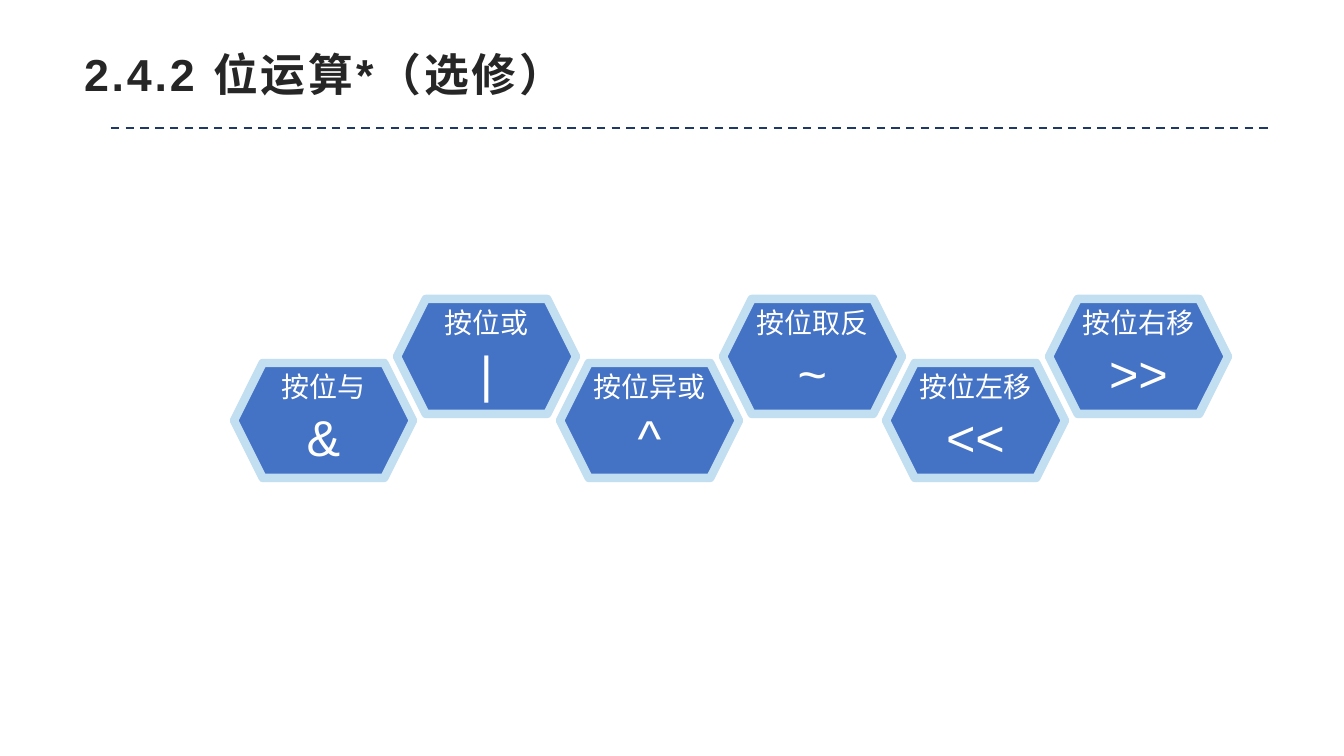
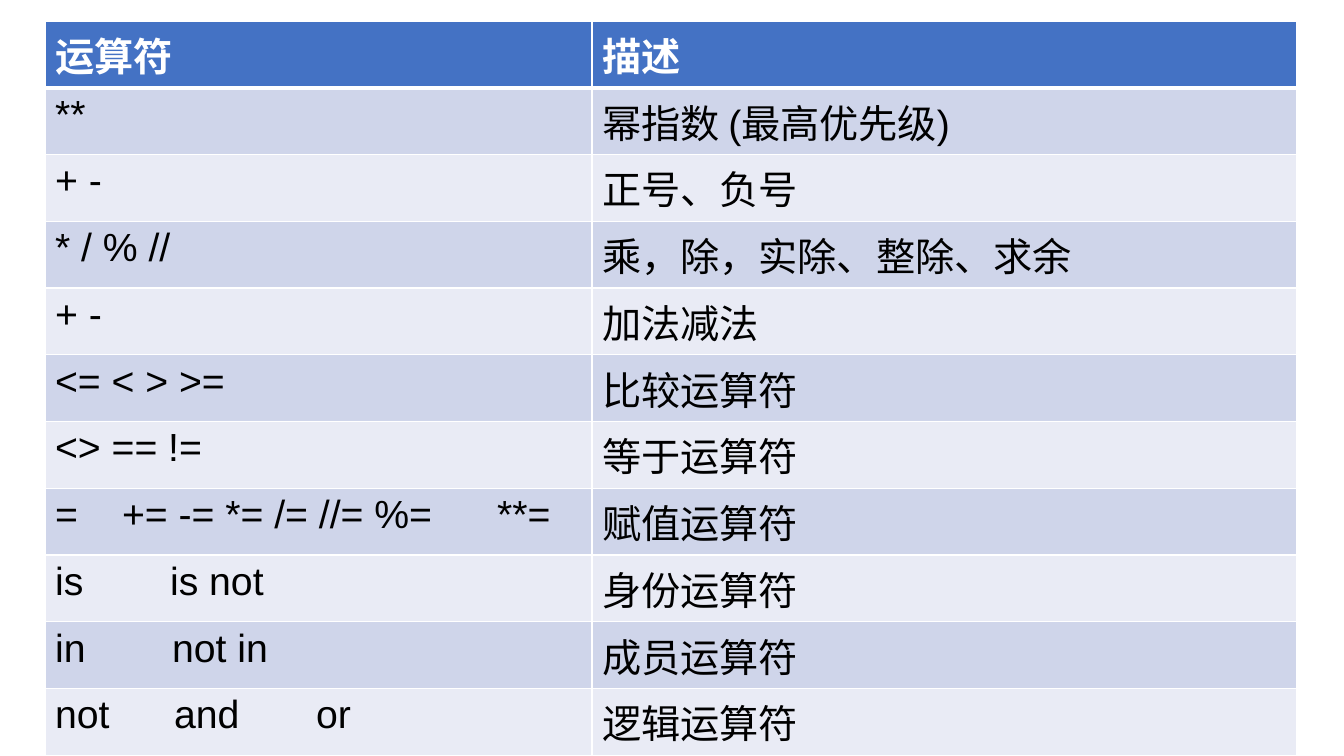
import lxml.etree
import pptx
import pptx.dml.color
import pptx.enum.dml
import pptx.enum.shapes
import pptx.enum.text
import pptx.oxml.ns
import pptx.util

EMU_PER_PX = 914400 / 100.8
SLIDE_WIDTH, SLIDE_HEIGHT = 1344, 756
FONT_NAME = "Arial"
BLUE, PALE_BLUE, NAVY = "4472C4", "C2DEF1", "203864"
WHITE, BLACK, TITLE_GREY = "FFFFFF", "000000", "262626"
BANDS = ("CFD5EA", "E9EBF5")

OPERATIONS = [
    ("按位与", "&"), ("按位或", "|"), ("按位异或", "^"),
    ("按位取反", "~"), ("按位左移", "<<"), ("按位右移", ">>"),
]

# Operator text, description, tab stops of the operator cell
PRECEDENCE = [
    ("运算符", "描述", ()),
    ("**", "幂指数 (最高优先级)", ()),
    ("+ -", "正号、负号", ()),
    ("* / % //", "乘，除，实除、整除、求余", ()),
    ("+ -", "加法减法", ()),
    ("<= < > >=", "比较运算符", ()),
    ("<> == !=", "等于运算符", ()),
    ("=\t+= -= *= /= //= %=\t**=", "赋值运算符", (67, 442)),
    ("is\tis not", "身份运算符", (115,)),
    ("in\tnot in", "成员运算符", (117,)),
    ("not\tand\tor", "逻辑运算符", (119, 261)),
]


def px(length):
    return pptx.util.Emu(round(length * EMU_PER_PX))


def color(hex_string):
    return pptx.dml.color.RGBColor.from_string(hex_string)


def add_element(parent, tag, **attributes):
    element = lxml.etree.SubElement(parent, pptx.oxml.ns.qn(tag))
    for name, value in attributes.items():
        element.set(name, str(value))
    return element


def set_format(target, values):
    for name, value in values.items():
        setattr(target, name, value)


def write(paragraph, text, size, hex_color, bold=False, spacing=0):
    run = paragraph.add_run()
    run.text = text
    properties = run._r.get_or_add_rPr()
    properties.set("lang", "zh-CN")
    if spacing:
        properties.set("spc", str(spacing))
    set_format(run.font, {"name": FONT_NAME, "size": pptx.util.Pt(size), "bold": bold})
    run.font.color.rgb = color(hex_color)


def set_frame(frame, anchor, side_margin):
    set_format(frame, {
        "word_wrap": True, "vertical_anchor": anchor,
        "margin_left": px(side_margin), "margin_right": px(side_margin),
        "margin_top": px(5), "margin_bottom": px(5),
    })


def add_title(slide, text, left, top, width, height):
    # Dashed rule under the title
    rule = slide.shapes.add_connector(
        pptx.enum.shapes.MSO_CONNECTOR.STRAIGHT,
        px(left + 37), px(top + 80), px(left + width + 2), px(top + 80))
    set_format(rule.line, {
        "width": pptx.util.Pt(1.5),
        "dash_style": pptx.enum.dml.MSO_LINE.DASH,
    })
    rule.line.color.rgb = color(NAVY)
    add_element(rule._element.spPr, "a:effectLst")

    # Title text
    box = slide.shapes.add_textbox(px(left), px(top), px(width), px(height))
    set_frame(box.text_frame, pptx.enum.text.MSO_ANCHOR.TOP, 10)
    paragraph = box.text_frame.paragraphs[0]
    paragraph.line_spacing = 0.9
    write(paragraph, text, 32, TITLE_GREY, bold=True, spacing=200)


def add_hexagon(slide, name, symbol, left, top, width, height):
    hexagon = slide.shapes.add_shape(
        pptx.enum.shapes.MSO_SHAPE.HEXAGON, px(left), px(top), px(width), px(height))
    hexagon.shadow.inherit = False
    hexagon.fill.solid()
    hexagon.fill.fore_color.rgb = color(BLUE)
    hexagon.line.color.rgb = color(PALE_BLUE)
    hexagon.line.width = pptx.util.Pt(6)
    frame = hexagon.text_frame
    set_frame(frame, pptx.enum.text.MSO_ANCHOR.MIDDLE, 8)
    centered = {"alignment": pptx.enum.text.PP_ALIGN.CENTER, "line_spacing": 0.9}
    name_paragraph, symbol_paragraph = frame.paragraphs[0], frame.add_paragraph()
    for paragraph in (name_paragraph, symbol_paragraph):
        set_format(paragraph, centered)
    name_paragraph.space_after = pptx.util.Pt(7)
    write(name_paragraph, name, 20, WHITE)
    write(symbol_paragraph, symbol, 36, WHITE)


def add_zigzag(slide, operations, left, top):
    # Hexagons alternate between a low and a high row
    step, drop = 163, 64
    for index, (name, symbol) in enumerate(operations):
        row_top = top + (drop if index % 2 == 0 else 0)
        add_hexagon(slide, name, symbol, left + index * step, row_top, 179, 115)


def set_borders(cell, top_width, bottom_width):
    properties = cell._tc.get_or_add_tcPr()
    widths = {"a:lnL": 1, "a:lnR": 1, "a:lnT": top_width, "a:lnB": bottom_width}
    for tag, width in widths.items():
        border = add_element(properties, tag, w=pptx.util.Pt(width))
        add_element(add_element(border, "a:solidFill"), "a:srgbClr", val=WHITE)


def set_tabs(paragraph, stops):
    if stops:
        tab_list = add_element(paragraph._p.get_or_add_pPr(), "a:tabLst")
        for stop in stops:
            add_element(tab_list, "a:tab", pos=px(stop), algn="l")


def add_precedence_table(slide, rows, left, top, column_widths, row_height):
    table = slide.shapes.add_table(
        len(rows), len(column_widths), px(left), px(top),
        px(sum(column_widths)), px(row_height * len(rows))).table
    for column, width in zip(table.columns, column_widths):
        column.width = px(width)
    for row_index, (operators, description, stops) in enumerate(rows):
        table.rows[row_index].height = px(row_height)
        header = row_index == 0
        fill = BLUE if header else BANDS[(row_index - 1) % 2]
        for column_index, text in enumerate((operators, description)):
            cell = table.cell(row_index, column_index)
            # The header is set off by a thicker rule
            set_borders(cell, 3 if row_index == 1 else 1, 3 if header else 1)
            cell.fill.solid()
            cell.fill.fore_color.rgb = color(fill)
            paragraph = cell.text_frame.paragraphs[0]
            if column_index == 0:
                set_tabs(paragraph, stops)
            write(paragraph, text, 28, WHITE if header else BLACK, bold=header)


def add_blank_slide(presentation):
    slide = presentation.slides.add_slide(presentation.slide_layouts[6])
    slide.background.fill.solid()
    slide.background.fill.fore_color.rgb = color(WHITE)
    return slide


def build_bitwise_slide(presentation):
    slide = add_blank_slide(presentation)
    add_title(slide, "2.4.2 位运算*（选修）", 74, 48, 1197, 79)
    add_zigzag(slide, OPERATIONS, 234, 299)


def build_precedence_slide(presentation):
    slide = add_blank_slide(presentation)
    add_precedence_table(slide, PRECEDENCE, 45, 21, (547, 705), 66)


def main():
    presentation = pptx.Presentation()
    set_format(presentation, {
        "slide_width": px(SLIDE_WIDTH), "slide_height": px(SLIDE_HEIGHT)})
    build_bitwise_slide(presentation)
    build_precedence_slide(presentation)
    presentation.save("out.pptx")


if __name__ == "__main__":
    main()
